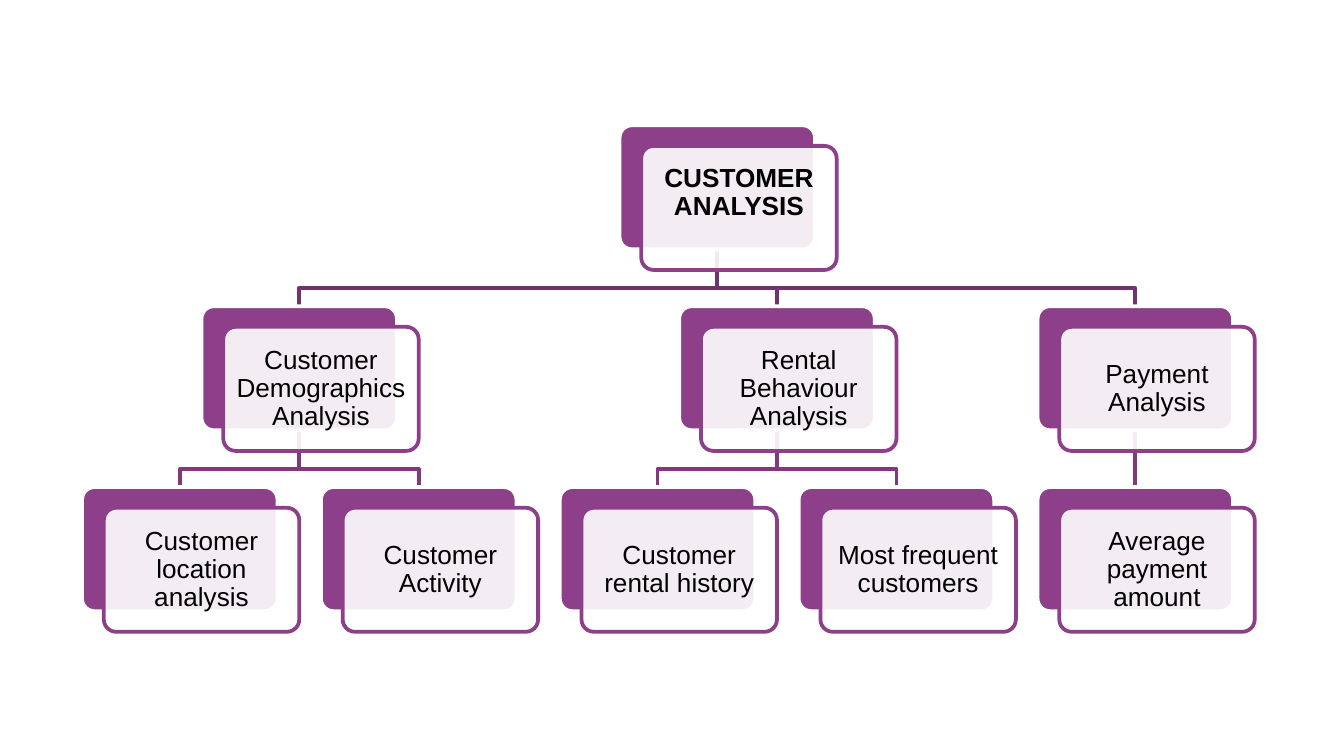
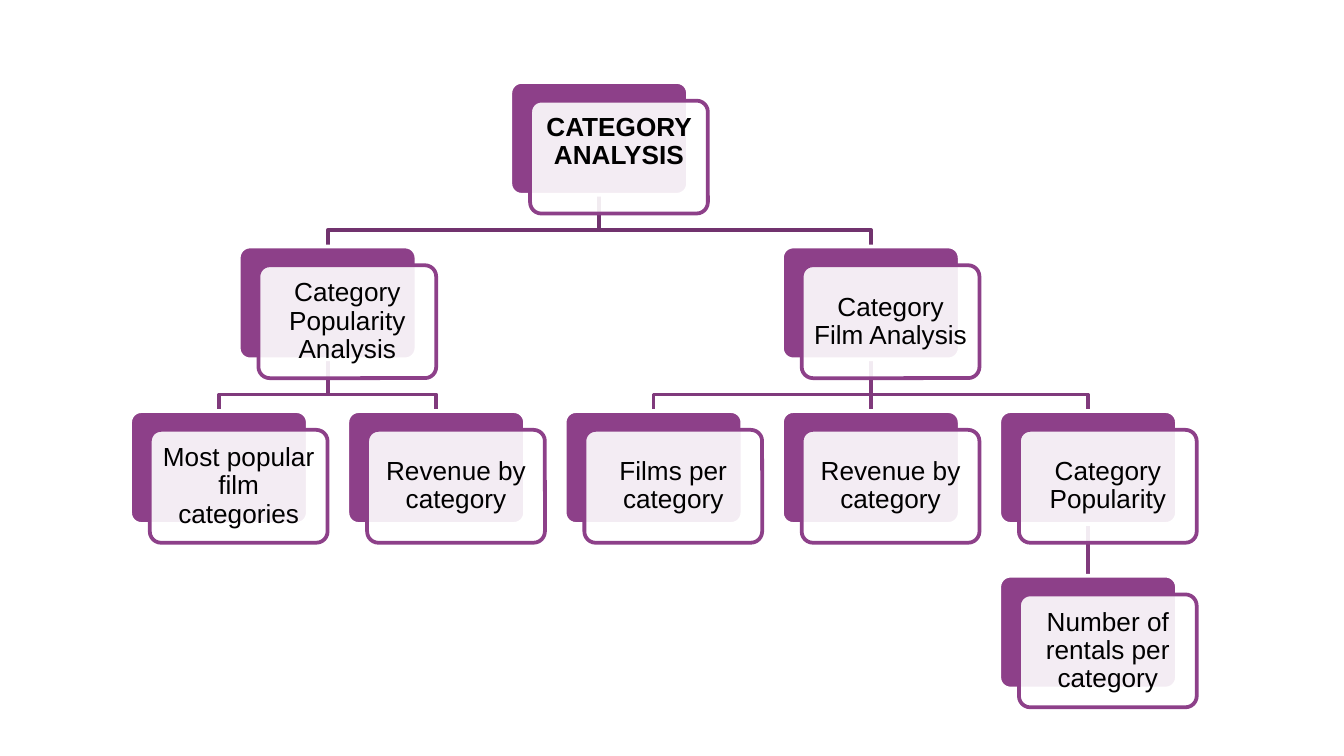
from lxml import etree
from pptx import Presentation
from pptx.dml.color import RGBColor
from pptx.enum.shapes import MSO_CONNECTOR, MSO_SHAPE
from pptx.enum.text import MSO_ANCHOR, PP_ALIGN
from pptx.oxml.ns import qn
from pptx.util import Pt

ROUNDED = MSO_SHAPE.ROUNDED_RECTANGLE
STRAIGHT = MSO_CONNECTOR.STRAIGHT
MIDDLE = MSO_ANCHOR.MIDDLE
CENTER = PP_ALIGN.CENTER

COLORS = {
    "purple": "8D4089",
    "root_link": "71336E",
    "branch_link": "803A7C",
    "white": "FFFFFF",
    "black": "000000",
}
FONT = "Arial"
FONT_SIZE = 14
LINE_WIDTH = 2
CORNER = 0.1
BLANK_LAYOUT = 6

CUSTOMER_TREE = ("CUSTOMER ANALYSIS", [
    ("Customer Demographics Analysis", [
        ("Customer location analysis", []),
        ("Customer Activity", []),
    ]),
    ("Rental Behaviour Analysis", [
        ("Customer rental history", []),
        ("Most frequent customers", []),
    ]),
    ("Payment Analysis", [
        ("Average payment amount", []),
    ]),
])
CATEGORY_TREE = ("CATEGORY ANALYSIS", [
    ("Category Popularity Analysis", [
        ("Most popular film categories", []),
        ("Revenue by category", []),
    ]),
    ("Category Film Analysis", [
        ("Films per category", []),
        ("Revenue by category", []),
        ("Category Popularity", [
            ("Number of rentals per category", []),
        ]),
    ]),
])


def rgb(name):
    return RGBColor.from_string(COLORS[name])


def write(box, text, size=FONT_SIZE, color="black", bold=False, inset=4.2, lift=0):
    frame = box.text_frame
    frame.word_wrap = True
    frame.vertical_anchor = MIDDLE
    frame.margin_left = frame.margin_right = frame.margin_top = Pt(inset)
    frame.margin_bottom = Pt(inset + lift)
    para = frame.paragraphs[0]
    para.alignment = CENTER
    para.line_spacing = 0.9
    para.space_after = Pt(0.35 * size)
    span = para.add_run()
    span.text = text
    span.font.name = FONT
    span.font.size = Pt(size)
    span.font.bold = bold
    span.font.color.rgb = rgb(color)


class TreeDeck:
    """Draws hierarchy slides whose proportions all follow from the card width."""

    def __init__(self):
        self.deck = Presentation()
        self.deck.slide_width = Pt(720)
        self.deck.slide_height = Pt(405)
        self.page = None

    def add_page(self, tree, left, top, width):
        self.page = self.deck.slides.add_slide(self.deck.slide_layouts[BLANK_LAYOUT])
        self.left, self.top, self.width = left, top, width
        self.height = 0.635 * width
        self.pitch = width * 11 / 9
        self.step = self.height * 1.458
        self.leaf_count = 0
        self.cards = []
        self.links = []
        self.place(tree, 0)
        for link in self.links:
            self.add_link(*link)
        for card in self.cards:
            self.add_card(*card)

    def place(self, node, level):
        text, children = node
        centers = [self.place(child, level + 1) for child in children]
        if centers:
            center = (centers[0] + centers[-1]) / 2
        else:
            center = self.left + self.width / 2 + self.leaf_count * self.pitch
            self.leaf_count += 1
        self.cards.append((text, center, level))
        self.links += [(center, child_center, level) for child_center in centers]
        return center

    def add_link(self, start, end, level):
        top = self.top + level * self.step + self.height
        bottom = self.top + (level + 1) * self.step
        bend = bottom - 0.146 * self.height
        if abs(start - end) < 0.1:
            link = self.page.shapes.add_connector(
                STRAIGHT, Pt(start), Pt(top), Pt(end), Pt(bottom))
            etree.SubElement(link.element.spPr, qn("a:effectLst"))
        else:
            outline = self.page.shapes.build_freeform(Pt(start), Pt(top))
            corners = [(start, bend), (end, bend), (end, bottom)]
            outline.add_line_segments([(Pt(x), Pt(y)) for x, y in corners], close=False)
            link = outline.convert_to_shape()
            link.shadow.inherit = False
            link.fill.background()
        link.line.color.rgb = rgb("branch_link" if level else "root_link")
        link.line.width = Pt(LINE_WIDTH)

    def add_panel(self, left, top, fill, line, opacity=100):
        panel = self.page.shapes.add_shape(
            ROUNDED, Pt(left), Pt(top), Pt(self.width), Pt(self.height))
        panel.adjustments[0] = CORNER
        panel.shadow.inherit = False
        panel.fill.solid()
        panel.fill.fore_color.rgb = rgb(fill)
        panel.line.color.rgb = rgb(line)
        panel.line.width = Pt(LINE_WIDTH)
        if opacity < 100:
            color = panel.element.spPr.find(qn("a:solidFill"))[0]
            etree.SubElement(color, qn("a:alpha"), val=str(opacity * 1000))

    def add_card(self, text, center, level):
        left = center - self.width / 2
        top = self.top + level * self.step
        self.add_panel(left, top, "purple", "white")
        left += self.width / 9
        top += self.width * 0.1056
        self.add_panel(left, top, "white", "purple", opacity=90)
        margin = 0.029 * self.height
        box = self.page.shapes.add_textbox(
            Pt(left + margin), Pt(top + margin),
            Pt(self.width - 2 * margin), Pt(self.height - 2 * margin))
        is_root = level == 0
        write(box, text, bold=is_root, lift=16 if is_root else 0)


def main():
    slides = TreeDeck()
    slides.add_page(CUSTOMER_TREE, left=44, top=67.1, width=104.7)
    slides.add_page(CATEGORY_TREE, left=69.7, top=43.9, width=95.24)
    slides.deck.save("out.pptx")


if __name__ == "__main__":
    main()
